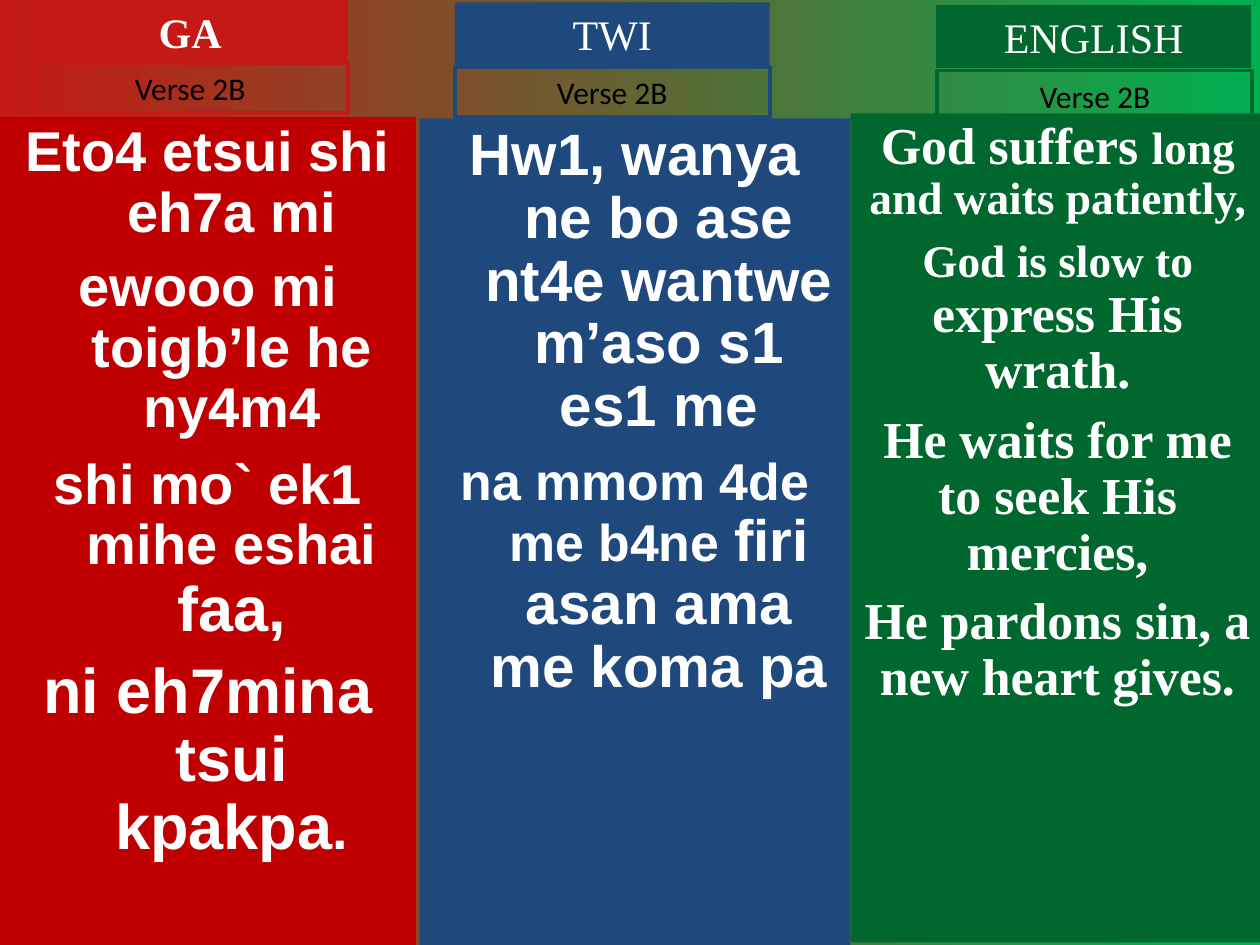
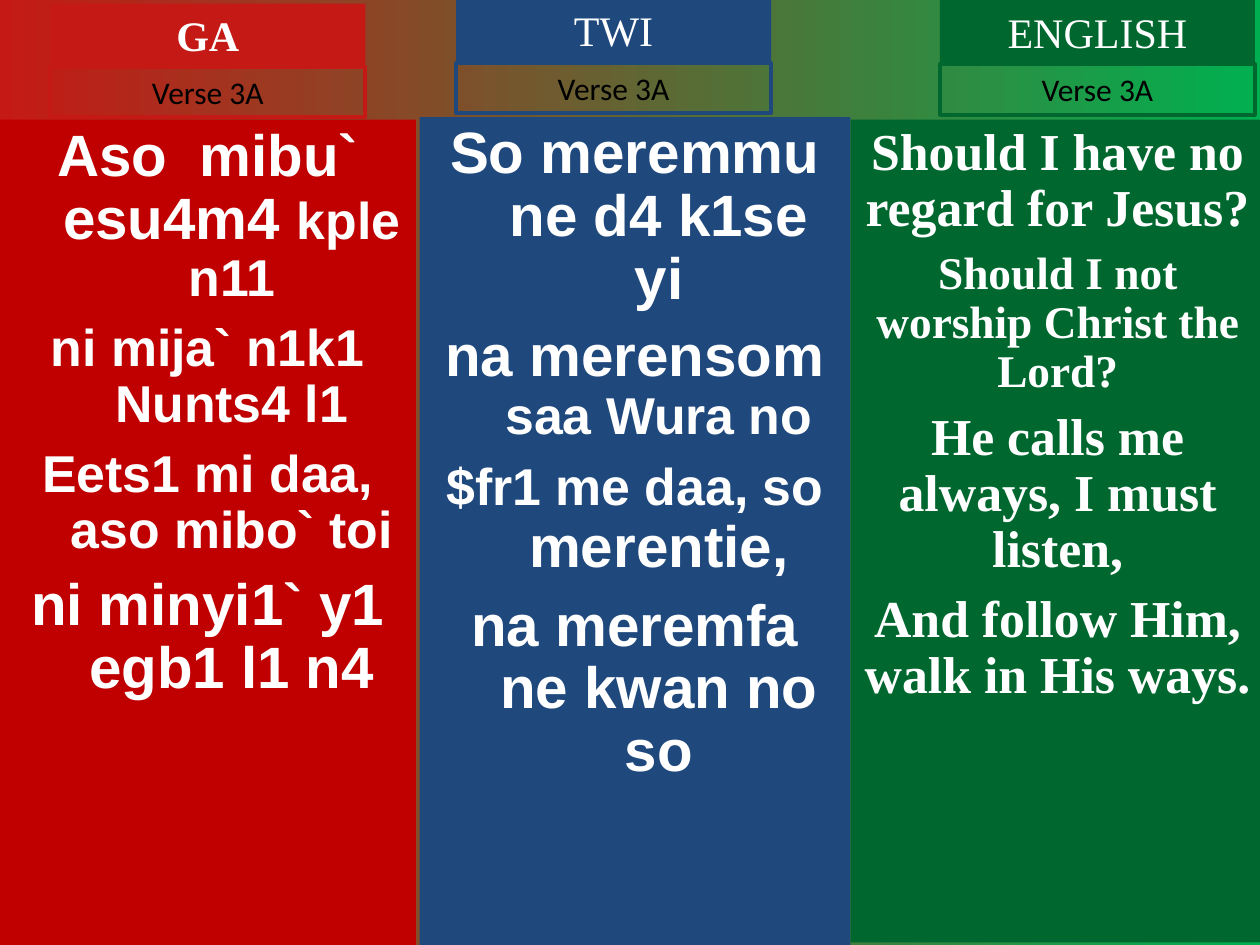
from math import ceil

from pptx import Presentation
from pptx.dml.color import RGBColor
from pptx.enum.shapes import MSO_SHAPE
from pptx.enum.text import MSO_ANCHOR, MSO_AUTO_SIZE, PP_ALIGN
from pptx.oxml.ns import qn
from pptx.util import Inches, Pt

RED = RGBColor(0xC5, 0x19, 0x15)
DARK_RED = RGBColor(0xC0, 0x00, 0x00)
BLUE = RGBColor(0x1F, 0x49, 0x7D)
GREEN = RGBColor(0x00, 0x68, 0x2F)
BRIGHT_GREEN = RGBColor(0x00, 0xB0, 0x50)
WHITE = RGBColor(0xFF, 0xFF, 0xFF)
BLACK = RGBColor(0x00, 0x00, 0x00)

HANGING = Inches(0.38)
TAG_WIDTH = 2.5

# language, tag colour, panel colour, panel left, width and bottom, font
COLUMNS = [
    ("GA", RED, DARK_RED, 0, 3.3, 7.5, "Arial"),
    ("TWI", BLUE, BLUE, 3.33, 3.42, 7.5, "Arial"),
    ("ENGLISH", GREEN, GREEN, 6.75, 3.29, 7.48, "Times New Roman"),
]

# For each column: panel top, (left, top) of the language tag,
# (left, top) of the verse tag, and lines made of (text, size) spans
VERSES = [
    ("Verse 2B", [
        (0.93, (0.26, 0), (0.26, 0.5), [
            [("Eto4 etsui shi eh7a mi", 32)],
            [("ewooo mi toigb’le he ny4m4", 32)],
            [("shi mo` ek1 mihe eshai ", 32), ("faa,", 36)],
            [("ni eh7mina tsui kpakpa", 36), (".", 32)],
        ]),
        (0.94, (3.61, 0.02), (3.61, 0.53), [
            [("Hw1, wanya ne bo ase nt4e wantwe m’aso s1 es1 me", 33.3)],
            [("na mmom 4de me b4ne ", 29.6), ("firi asan ama me koma pa", 33.3)],
        ]),
        (0.9, (7.43, 0.04), (7.44, 0.56), [
            [("God suffers ", 29.6), ("long and waits patiently,", 25.9)],
            [("God is slow to ", 25.9), ("express His wrath.", 29.6)],
            [("He waits for me to seek His mercies,", 29.6)],
            [("He pardons sin, a new heart gives.", 29.6)],
        ]),
    ]),
    ("Verse 3A", [
        (0.95, (0.4, 0.03), (0.4, 0.53), [
            [("Aso  mibu` esu4m4 ", 33.3), ("kple n11", 29.6)],
            [("ni mija` n1k1 Nunts4 l1", 29.6)],
            [("Eets1 mi daa, aso mibo` toi", 29.6)],
            [("ni minyi1` y1 egb1 l1 n4", 33.3)],
        ]),
        (0.93, (3.62, -0.01), (3.62, 0.5), [
            [("So meremmu ne d4 k1se yi", 33.3)],
            [("na merensom ", 33.3), ("saa Wura no", 29.6)],
            [("$fr1 me daa, so ", 29.6), ("merentie,", 33.3)],
            [("na meremfa ne kwan no so", 33.3)],
        ]),
        (0.95, (7.46, 0), (7.46, 0.51), [
            [("Should I have no regard for Jesus?", 29.6)],
            [("Should I not worship Christ the Lord?", 25.9)],
            [("He calls me always, I must listen,", 29.6)],
            [("And follow Him, walk in His ways.", 29.6)],
        ]),
    ]),
]


def add_tag(page, corner, height, text, font_name, size, colour):
    """Add a centred label that grows with its text; fill and line come later."""
    left, top = corner
    tag = page.shapes.add_shape(MSO_SHAPE.RECTANGLE, Inches(left), Inches(top),
                                Inches(TAG_WIDTH), Inches(height))
    tag.shadow.inherit = False
    frame = tag.text_frame
    frame.word_wrap = True
    frame.auto_size = MSO_AUTO_SIZE.SHAPE_TO_FIT_TEXT
    frame.vertical_anchor = MSO_ANCHOR.TOP
    frame.text = text
    para = frame.paragraphs[0]
    para.alignment = PP_ALIGN.CENTER
    para.font.name = font_name
    para.font.size = Pt(size)
    para.font.color.rgb = colour
    return tag


def write_lyrics(panel, lines, font_name, hanging):
    frame = panel.text_frame
    frame.word_wrap = True
    frame.auto_size = MSO_AUTO_SIZE.NONE
    frame.vertical_anchor = MSO_ANCHOR.TOP
    for number, spans in enumerate(lines):
        para = frame.add_paragraph() if number else frame.paragraphs[0]
        properties = para._p.get_or_add_pPr()
        properties.set("marL", str(hanging))
        properties.set("indent", str(-hanging))
        properties.append(properties.makeelement(qn("a:buNone"), {}))
        para.alignment = PP_ALIGN.CENTER
        para.line_spacing = 0.9
        # The gap is a quarter of the size that ends the line
        para.space_before = Pt(ceil(spans[-1][1] / 4) if number else 0)
        para.font.name = font_name
        para.font.bold = True
        para.font.color.rgb = WHITE
        for text, size in spans:
            span = para.add_run()
            span.text = text
            span.font.size = Pt(size)


deck = Presentation()
deck.slide_width = Inches(10)
deck.slide_height = Inches(7.5)
two_content = deck.slide_layouts[3]

for verse, blocks in VERSES:
    page = deck.slides.add_slide(two_content)
    title = page.shapes.title.element
    title.getparent().remove(title)

    backdrop = page.background.fill
    backdrop.gradient()
    backdrop.gradient_angle = 0
    for stop, colour in zip(backdrop.gradient_stops, (RED, BRIGHT_GREEN)):
        stop.color.rgb = colour

    bodies = list(page.placeholders)
    for column, block in zip(COLUMNS, blocks):
        language, tag_colour, panel_colour, left, width, bottom, font_name = column
        top, language_corner, verse_corner, lines = block

        place = [Inches(value) for value in (left, top, width, bottom - top)]
        if bodies:
            panel = bodies.pop(0)
            panel.left, panel.top, panel.width, panel.height = place
            hanging = HANGING
        else:
            panel = page.shapes.add_shape(MSO_SHAPE.RECTANGLE, *place)
            panel.shadow.inherit = False
            panel.line.fill.background()
            hanging = 0
        panel.fill.solid()
        panel.fill.fore_color.rgb = panel_colour
        write_lyrics(panel, lines, font_name, hanging)

        language_tag = add_tag(page, language_corner, 0.5, language,
                               "Times New Roman", 24, WHITE)
        language_tag.fill.solid()
        language_tag.fill.fore_color.rgb = tag_colour
        language_tag.line.fill.background()
        language_tag.text_frame.paragraphs[0].font.bold = language == "GA"

        verse_tag = add_tag(page, verse_corner, 0.4, verse, "Calibri", 18, BLACK)
        verse_tag.fill.background()
        verse_tag.line.color.rgb = tag_colour
        verse_tag.line.width = Pt(2.25)

deck.save("out.pptx")
